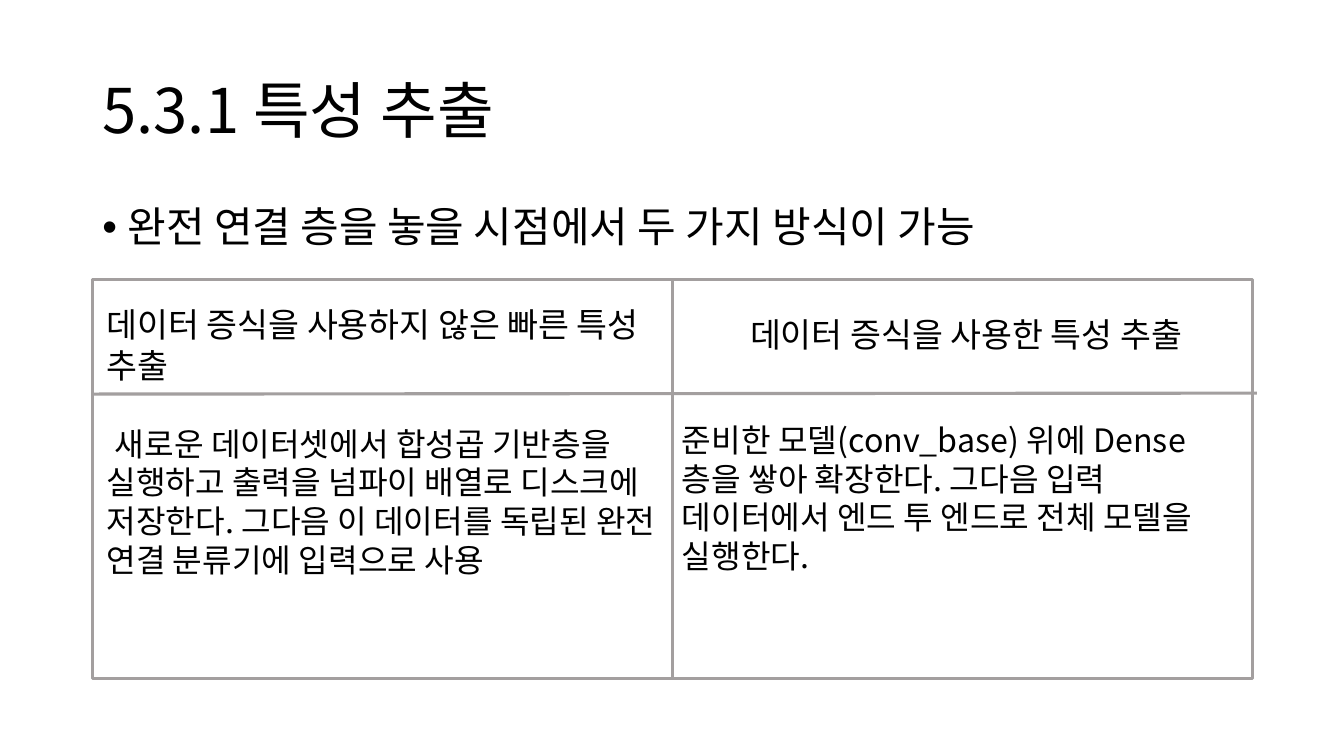
from lxml.etree import SubElement
from pptx import Presentation
from pptx.dml.color import RGBColor
from pptx.enum.shapes import MSO_CONNECTOR, MSO_SHAPE
from pptx.enum.text import MSO_ANCHOR, PP_ALIGN
from pptx.oxml.ns import qn
from pptx.util import Pt

FONT = "Noto Sans CJK KR"


def color(value):
    return RGBColor.from_string(value)


def write(paragraph, text, size, align=PP_ALIGN.LEFT, before=0, spacing=1.0,
          indent=0, hanging=0, bullet=None):
    """Fill a paragraph; indent moves its first line, hanging its other lines."""
    properties = paragraph._p.get_or_add_pPr()
    properties.set("marL", str(Pt(hanging)))
    properties.set("indent", str(Pt(indent - hanging)))
    paragraph.alignment = align
    paragraph.space_before = Pt(before)
    paragraph.line_spacing = spacing
    if bullet:
        SubElement(properties, qn("a:buFont"), typeface="Arial")
        SubElement(properties, qn("a:buChar"), char=bullet)
    run = paragraph.add_run()
    run.text = text
    run.font.size = Pt(size)
    run.font.name = FONT
    run.font.color.rgb = color("000000")
    SubElement(run._r.get_or_add_rPr(), qn("a:ea"), typeface=FONT)


presentation = Presentation()
presentation.slide_width = Pt(960)
presentation.slide_height = Pt(540)
slide = presentation.slides.add_slide(presentation.slide_layouts[5])

# Title
title = slide.shapes.title
title.left, title.top, title.width, title.height = Pt(66), Pt(28.8), Pt(828), Pt(104.4)
title.text_frame.vertical_anchor = MSO_ANCHOR.MIDDLE
write(title.text_frame.paragraphs[0], "5.3.1 특성 추출", 44, spacing=0.9)

# Lead bullet
lead = slide.shapes.add_textbox(Pt(66), Pt(144), Pt(828), Pt(44.6))
lead.text_frame.word_wrap = True
write(lead.text_frame.paragraphs[0], "완전 연결 층을 놓을 시점에서 두 가지 방식이 가능", 30,
      spacing=0.9, hanging=18, bullet="•")

# Two methods: left, top, width, height, heading, alignment, gap, body, body indent
methods = [
    (69, 213.8, 411, 257, "데이터 증식을 사용하지 않은 빠른 특성 추출", PP_ALIGN.LEFT, 28,
     "새로운 데이터셋에서 합성곱 기반층을 실행하고 출력을 넘파이 배열로 디스크에 저장한다. "
     "그다음 이 데이터를 독립된 완전 연결 분류기에 입력으로 사용", 6),
    (480, 221, 420, 193, "데이터 증식을 사용한 특성 추출", PP_ALIGN.CENTER, 47,
     "준비한 모델(conv_base) 위에 Dense 층을 쌓아 확장한다. "
     "그다음 입력 데이터에서 엔드 투 엔드로 전체 모델을 실행한다.", 0),
]
for left, top, width, height, heading, align, gap, body, indent in methods:
    box = slide.shapes.add_textbox(Pt(left), Pt(top), Pt(width), Pt(height))
    frame = box.text_frame
    frame.word_wrap = True
    write(frame.paragraphs[0], heading, 24, align=align)
    write(frame.add_paragraph(), body, 23, before=gap, indent=indent)

# Frame with its two dividers
border = slide.shapes.add_shape(MSO_SHAPE.RECTANGLE, Pt(66.2), Pt(199.5), Pt(828.7), Pt(285))
border.shadow.inherit = False
border.fill.background()
row_divider = slide.shapes.add_connector(
    MSO_CONNECTOR.STRAIGHT, Pt(67), Pt(281.5), Pt(897.8), Pt(280.8))
column_divider = slide.shapes.add_connector(
    MSO_CONNECTOR.STRAIGHT, Pt(480.5), Pt(199.5), Pt(480.5), Pt(484.5))
column_divider.begin_connect(border, 0)
column_divider.end_connect(border, 2)
for divider in (row_divider, column_divider):
    SubElement(divider._element.spPr, qn("a:effectLst"))
for outlined in (border, row_divider, column_divider):
    outlined.line.color.rgb = color("A39F9F")
    outlined.line.width = Pt(2.25)
# The effect list must follow the line properties
for divider in (row_divider, column_divider):
    properties = divider._element.spPr
    properties.append(properties.find(qn("a:effectLst")))

presentation.save("out.pptx")
